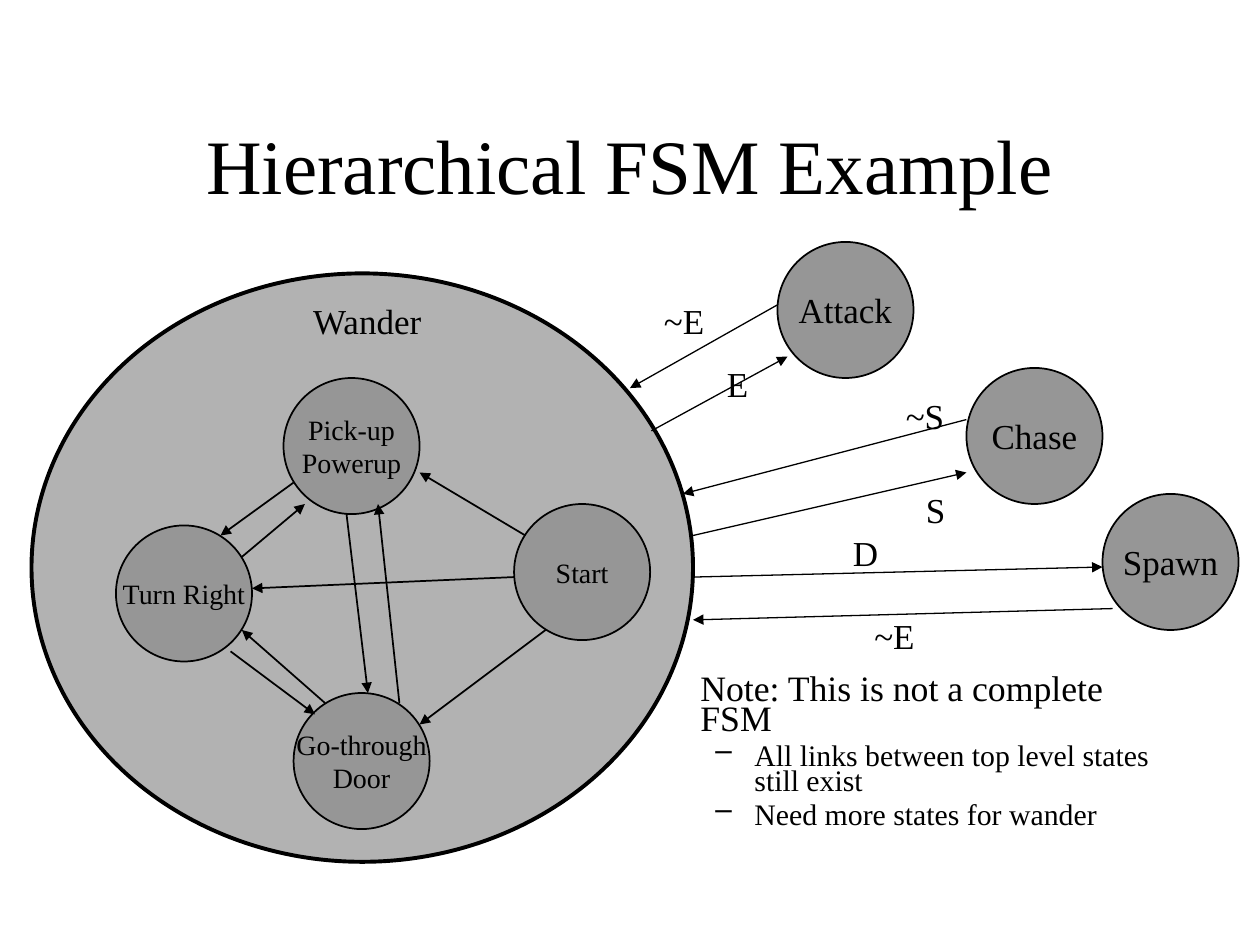
"""Build the slide of a hierarchical finite state machine."""
from lxml import etree
from pptx import Presentation
from pptx.dml.color import RGBColor
from pptx.enum import shapes, text
from pptx.oxml import ns
from pptx.util import Inches, Pt

BLACK = RGBColor(0, 0, 0)
LIGHT = RGBColor(0xB2, 0xB2, 0xB2)
GRAY = RGBColor(0x96, 0x96, 0x96)
FONT = "Times New Roman"
SIDE = 1.08
LEFT, MID = text.PP_ALIGN.LEFT, text.PP_ALIGN.CENTER
TOP, CORE = text.MSO_ANCHOR.TOP, text.MSO_ANCHOR.MIDDLE


def write(frame, words, size=20, align=LEFT, anchor=TOP, wrap=False):
    frame.word_wrap = wrap
    frame.vertical_anchor = anchor
    for i, line in enumerate(words.split("\n")):
        para = frame.paragraphs[0] if i == 0 else frame.add_paragraph()
        para.alignment = align
        run = para.add_run()
        run.text = line
        run.font.name = FONT
        run.font.size = Pt(size)
        run.font.color.rgb = BLACK
    return frame.paragraphs


def oval(x, y, wide, high, fill, line):
    shape = slide.shapes.add_shape(
        shapes.MSO_SHAPE.OVAL, Inches(x), Inches(y), Inches(wide), Inches(high))
    shape.shadow.inherit = False
    shape.fill.solid()
    shape.fill.fore_color.rgb = fill
    shape.line.color.rgb = BLACK
    shape.line.width = Pt(line)
    return shape


deck = Presentation()
deck.slide_width, deck.slide_height = Inches(10), Inches(7.5)
slide = deck.slides.add_slide(deck.slide_layouts[6])

title = slide.shapes.add_textbox(Inches(0.75), Inches(0.67), Inches(8.5), Inches(1.25))
write(title.text_frame, "Hierarchical FSM Example", size=44, align=MID, anchor=CORE, wrap=True)

note = slide.shapes.add_textbox(Inches(5.08), Inches(5.33), Inches(4.17), Inches(1.33))
paras = write(
    note.text_frame,
    "Note: This is not a complete FSM\n"
    "All links between top level states still exist\n"
    "Need more states for wander",
    size=17, wrap=True)
for i, para in enumerate(paras):
    props = para._p.get_or_add_pPr()
    props.set("marL", str(Inches(0.81 if i else 0.38)))
    props.set("indent", str(Inches(-0.31 if i else 0)))
    if i:
        props.set("lvl", "1")
        etree.SubElement(props, ns.qn("a:buChar")).set("char", "–")
        para.space_before = Pt(5)
    para.line_spacing = 0.7
paras[0].runs[0].font.size = Pt(20.4)

oval(0.25, 2.17, 5.25, 4.67, LIGHT, 2.25)

states = [
    ("Start", 4.08, 4, 16),
    ("Turn Right", 0.92, 4.17, 16),
    ("Go-through\nDoor", 2.33, 5.5, 16),
    ("Pick-up\nPowerup", 2.25, 3, 16),
    ("Attack", 6.17, 1.92, 20),
    ("Chase", 7.67, 2.92, 20),
    ("Spawn", 8.75, 3.92, 20),
]
for name, x, y, size in states:
    state = oval(x, y, SIDE, SIDE, GRAY, 1)
    write(state.text_frame, name, size=size, align=MID, anchor=CORE)

inner = [
    (4.33, 5, 3.33, 5.75),
    (4.17, 4.25, 3.33, 3.75),
    (4.08, 4.58, 2, 4.67),
    (2.75, 4.08, 2.92, 5.5),
    (2.33, 3.83, 1.75, 4.25),
    (1.83, 5.17, 2.5, 5.67),
    (1.92, 4.42, 2.42, 4),
    (2.58, 5.58, 1.92, 5),
    (3.17, 5.58, 3, 4),
]
outer = [
    (6.17, 2.42, 5, 3.08),
    (5.17, 3.42, 6.25, 2.83),
    (7.67, 3.33, 5.42, 3.92),
    (5.5, 4.25, 7.67, 3.75),
    (5.5, 4.58, 8.75, 4.5),
    (8.83, 4.83, 5.5, 4.92),
]
for links, width in ((inner, 1), (outer, 0.75)):
    for ends in links:
        link = slide.shapes.add_connector(
            shapes.MSO_CONNECTOR.STRAIGHT, *[Inches(v) for v in ends])
        link.line.color.rgb = BLACK
        link.line.width = Pt(width)
        etree.SubElement(link.line._get_or_add_ln(), ns.qn("a:tailEnd")).set("type", "triangle")
        etree.SubElement(link._element.spPr, ns.qn("a:effectLst"))

labels = [
    ("Wander", 2, 2.33, 1.83, MID),
    ("~E", 5.17, 2.33, 0.55, LEFT),
    ("E", 5.67, 2.83, 0.4, LEFT),
    ("~S", 7.09, 3.08, 0.55, LEFT),
    ("S", 7.25, 3.83, 0.4, LEFT),
    ("D", 6.67, 4.17, 0.4, LEFT),
    ("~E", 6.84, 4.83, 0.55, LEFT),
]
for name, x, y, wide, align in labels:
    label = slide.shapes.add_textbox(Inches(x), Inches(y), Inches(wide), Inches(0.44))
    write(label.text_frame, name, align=align, wrap=align == MID)

deck.save("out.pptx")
